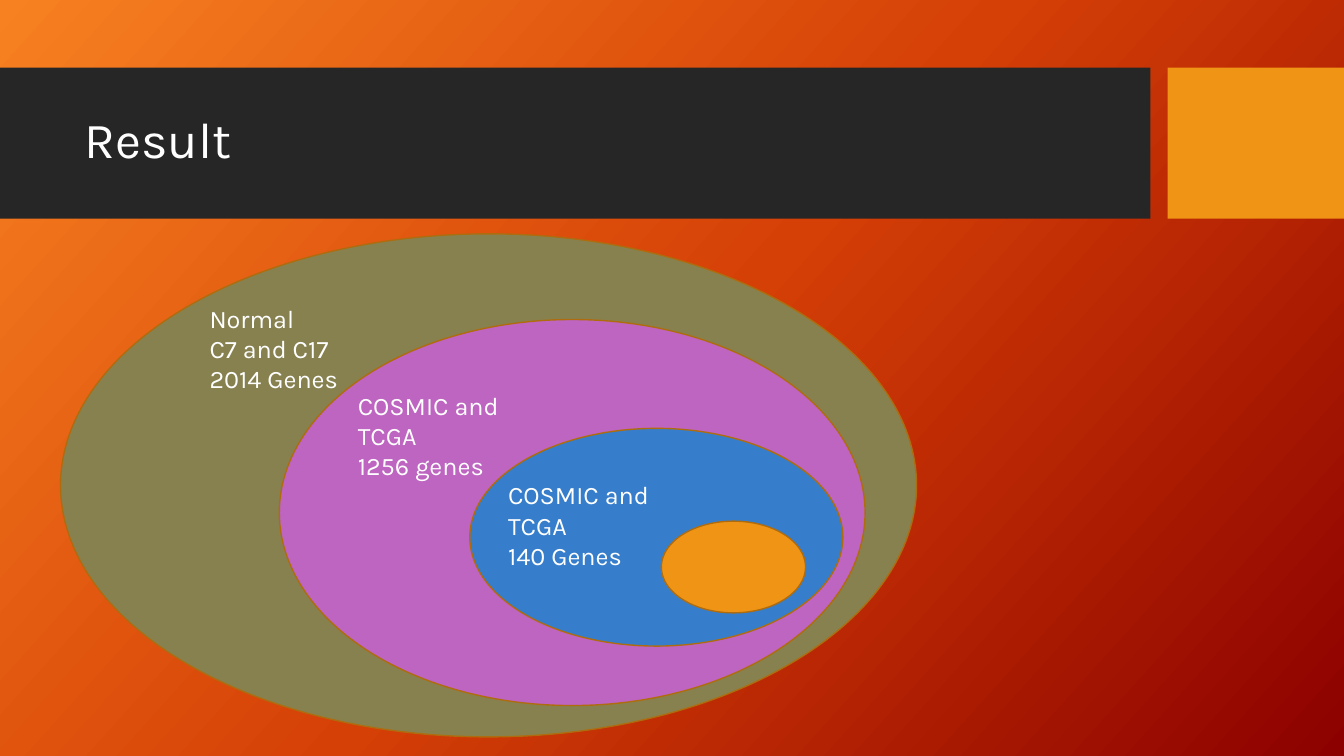
from copy import deepcopy
from pptx import Presentation
from pptx.dml.color import RGBColor
from pptx.enum.shapes import MSO_SHAPE
from pptx.enum.text import MSO_ANCHOR
from pptx.oxml.ns import qn
from pptx.util import Inches, Pt

WHITE = RGBColor(0xFF, 0xFF, 0xFF)
DARK = RGBColor(0x26, 0x26, 0x26)
AMBER = RGBColor(0xF0, 0x94, 0x15)
BROWN = RGBColor(0xAF, 0x6C, 0x0F)
OLIVE = RGBColor(0x87, 0x81, 0x50)
PURPLE = RGBColor(0xBD, 0x65, 0xC0)
BLUE = RGBColor(0x36, 0x7E, 0xCB)
GLOW = [
    (0, RGBColor(0xF7, 0x81, 0x21)),
    (0.5, RGBColor(0xD5, 0x40, 0x06)),
    (1, RGBColor(0x8C, 0x00, 0x00)),
]
FONT = "Karla"


def add_shape(slide, kind, box, color, edge=None):
    shape = slide.shapes.add_shape(kind, *map(Inches, box))
    shape.shadow.inherit = False
    shape.fill.solid()
    shape.fill.fore_color.rgb = color
    if edge is None:
        shape.line.fill.background()
    else:
        shape.line.color.rgb = edge
        shape.line.width = Pt(1)


def add_text(slide, box, lines, size):
    frame = slide.shapes.add_textbox(*map(Inches, box)).text_frame
    frame.word_wrap = True
    for index, line in enumerate(lines):
        para = frame.paragraphs[0] if index == 0 else frame.add_paragraph()
        run = para.add_run()
        run.text = line
        run.font.name = FONT
        run.font.size = Pt(size)
        run.font.color.rgb = WHITE
    return frame


def paint_back(slide):
    fill = slide.background.fill
    fill.gradient()
    fill.gradient_angle = 360 - 42
    stops = slide.element.find(".//" + qn("a:gsLst"))
    stops.append(deepcopy(stops[-1]))
    for stop, (place, color) in zip(fill.gradient_stops, GLOW):
        stop.position = place
        stop.color.rgb = color


def add_header(slide, box, title):
    left, top, width, height = box
    bar, gap = 11.41, 0.17
    tile = left + bar + gap
    add_shape(slide, MSO_SHAPE.RECTANGLE, (left, top, bar, height), DARK)
    add_shape(slide, MSO_SHAPE.RECTANGLE, (tile, top, left + width - tile, height), AMBER)
    frame = add_text(slide, (left + 0.74, top + 0.15, 10.51, 1.18), [title], 36)
    frame.vertical_anchor = MSO_ANCHOR.MIDDLE
    frame.paragraphs[0].line_spacing = 0.9


def add_venn(slide, box):
    left, top, width, height = box
    rings = [
        ((0, 0, width, height), OLIVE),
        ((2.17, 0.85, 5.81, 3.83), PURPLE),
        ((4.06, 1.93, 3.7, 2.16), BLUE),
        ((5.96, 2.85, 1.43, 0.91), AMBER),
    ]
    for (x, y, wide, high), color in rings:
        add_shape(slide, MSO_SHAPE.OVAL, (left + x, top + y, wide, high), color, BROWN)
    labels = [
        (1.38, 0.64, 1.57, ["Normal", "C7 and C17", "2014 Genes"]),
        (2.85, 1.5, 2.22, ["COSMIC and TCGA", "1256 genes"]),
        (4.34, 2.39, 2.22, ["COSMIC and TCGA", "140 Genes"]),
    ]
    for x, y, wide, lines in labels:
        add_text(slide, (left + x, top + y, wide, 0.71), lines, 18)


def main():
    deck = Presentation()
    deck.slide_width = Inches(13.33)
    deck.slide_height = Inches(7.5)
    slide = deck.slides.add_slide(deck.slide_layouts[6])
    paint_back(slide)
    add_header(slide, (0, 0.67, 13.33, 1.5), "Result")
    add_venn(slide, (0.6, 2.32, 8.49, 4.99))
    deck.save("out.pptx")


if __name__ == "__main__":
    main()
